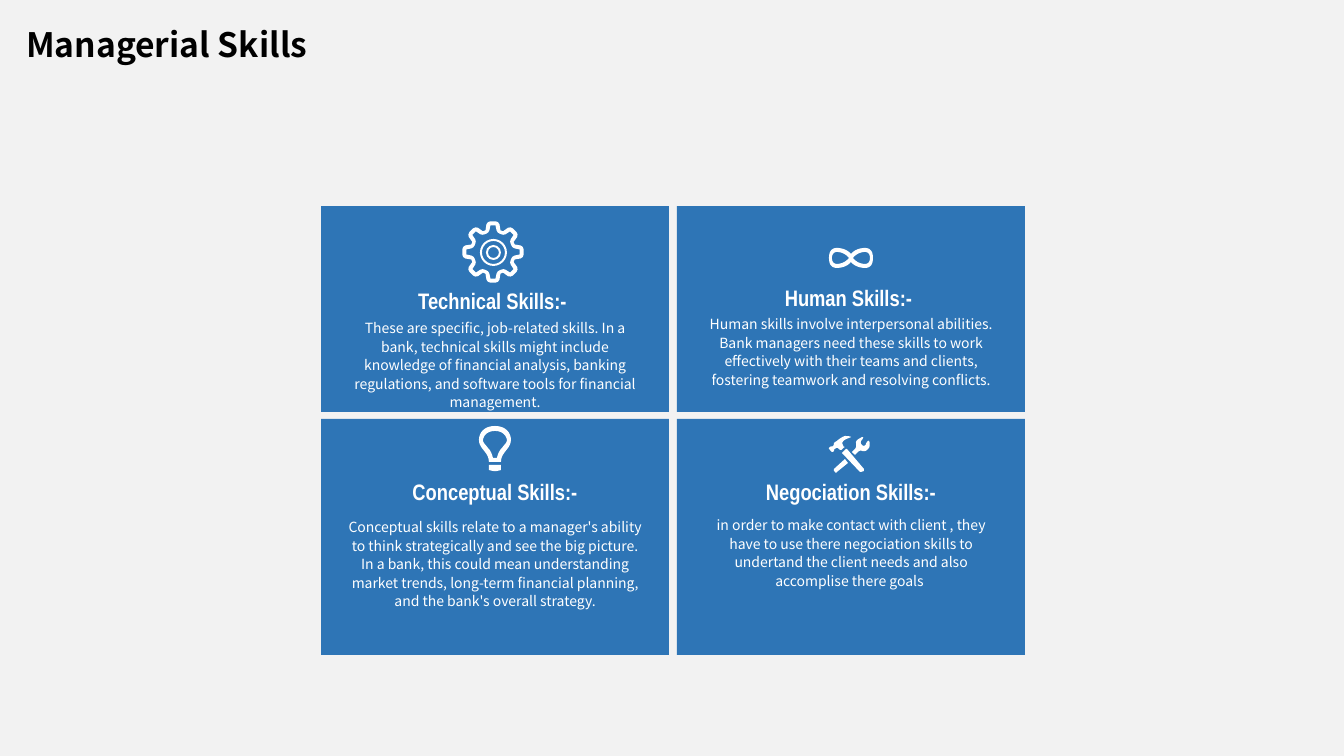
import math
from dataclasses import dataclass

import pptx
import pptx.dml.color
import pptx.enum.shapes
import pptx.enum.text
import pptx.util

PX = 914400 / 100.8
FINE = 20  # freeform units per px

SHAPE = pptx.enum.shapes.MSO_SHAPE
ALIGN = pptx.enum.text.PP_ALIGN
ANCHOR = pptx.enum.text.MSO_ANCHOR


@dataclass(frozen=True)
class Theme:
    page: str = "F2F2F2"
    card: str = "2E75B6"
    light: str = "FFFFFF"
    dark: str = "000000"
    text_font: str = "Noto Sans CJK SC"
    heading_font: str = "Arial Narrow"
    title_size: int = 24
    heading_size: int = 16
    body_size: int = 10


def px(value):
    return pptx.util.Emu(round(value * PX))


def rgb(code):
    return pptx.dml.color.RGBColor.from_string(code)


def flatten(steps):
    """Turn points (x, y) and cubic curves (x1, y1, x2, y2, x, y) into points."""
    points = []
    for step in steps:
        if len(step) == 2:
            points.append(step)
            continue
        bend = [points[-1], step[:2], step[2:4], step[4:]]
        for part in range(1, 11):
            t = part / 10
            weights = ((1 - t) ** 3, 3 * t * (1 - t) ** 2, 3 * t * t * (1 - t), t ** 3)
            points.append(tuple(sum(w * p[axis] for w, p in zip(weights, bend))
                                for axis in (0, 1)))
    return points


def gear_ring(half_tooth):
    """Repeat a mirrored half tooth, pointing right, eight times around the centre."""
    tooth = half_tooth + [(x, -y) for x, y in reversed(half_tooth)]
    ring = []
    for number in range(8):
        cos, sin = math.cos(number * math.pi / 4), math.sin(number * math.pi / 4)
        ring += [(x * cos - y * sin, x * sin + y * cos) for x, y in tooth]
    return ring


GEAR = [gear_ring([(21.7, -7.5), (27.7, -6.5), (29.8, -5), (30.7, -2.5)]),
        gear_ring([(18.3, -6.7), (19.5, -4.8), (21.5, -3.6), (26.7, -2.5)])]

LOOP_HOLE = [(14, 6), (17, 6, 19, 4, 19, 0), (19, -4, 17, -6, 14, -6),
             (10, -6, 5, -4, 2, 0), (5, 4, 10, 6, 14, 6)]
INFINITY = [
    [(14, -10), (9, -10, 3, -8, 0, -4), (-3, -8, -9, -10, -14, -10),
     (-18, -10, -22, -8, -22, 0), (-22, 8, -18, 10, -14, 10),
     (-9, 10, -3, 8, 0, 4), (3, 8, 9, 10, 14, 10),
     (18, 10, 22, 8, 22, 0), (22, -8, 18, -10, 14, -10)],
    LOOP_HOLE,
    [tuple(-value for value in step) for step in LOOP_HOLE],
]

BULB = [
    [(-6, 44), (-2, 45.5, 2, 45.5, 6, 44), (6, 39), (-6, 39)],
    [(6, 36), (6, 26, 16, 23, 16, 14), (16, 7, 11, 0, 0, 0),
     (-11, 0, -16, 7, -16, 14), (-16, 23, -6, 26, -6, 36)],
    [(-12, 14), (-11, 8, -6, 5, 0, 5), (6, 5, 11, 8, 12, 14),
     (12, 17, 9, 19, 7, 22), (4, 25, 3, 28, 2, 32), (-2, 32),
     (-3, 28, -4, 25, -7, 22), (-9, 19, -12, 17, -12, 14)],
]

HAMMER_HEAD = [
    (6, 13), (8, 11, 9, 12, 11, 14), (12, 14), (13, 14, 15, 11, 16, 11),
    (15, 11, 14, 10, 14, 9), (10, 4, 24, 1, 22, 1), (21, 0, 16, 0, 16, 0),
    (13, 1, 10, 3, 8, 5), (6, 6, 5, 7, 5, 7), (5, 8, 5, 9, 4, 10),
    (3, 11, 2, 10, 1, 11), (0, 12), (0, 13), (3, 16), (4, 16), (5, 15),
    (5, 15, 5, 13, 6, 13)]
HAMMER_HANDLE = [(18, 13), (17, 13), (13, 17), (31, 36), (32, 36), (35, 35), (35, 33)]
WRENCH_HEAD = [
    (40, 5), (40, 4, 40, 5, 39, 5), (39, 5, 37, 7, 37, 8), (37, 9, 35, 11, 33, 9),
    (31, 7, 32, 6, 32, 5), (32, 5, 34, 3, 34, 2), (35, 2, 34, 1, 33, 1),
    (32, 2, 28, 3, 27, 6), (27, 8, 28, 11, 26, 13), (23, 16), (26, 19), (29, 16),
    (30, 15, 32, 14, 33, 15), (37, 16, 38, 14, 40, 12), (41, 10, 41, 6, 40, 5)]
WRENCH_HANDLE = [(5, 33), (5, 35), (7, 37), (8, 36), (19, 27), (16, 23)]
TOOLS = [HAMMER_HEAD, HAMMER_HANDLE, WRENCH_HEAD, WRENCH_HANDLE]


class Painter:
    def __init__(self, page, theme):
        self.page = page
        self.theme = theme

    def background(self):
        fill = self.page.background.fill
        fill.solid()
        fill.fore_color.rgb = rgb(self.theme.page)

    def paint(self, shape, color):
        shape.shadow.inherit = False
        shape.fill.solid()
        shape.fill.fore_color.rgb = rgb(color)
        shape.line.fill.background()

    def set_text(self, box, text, size, color, font, bold=False, align=ALIGN.CENTER, spacing=None):
        frame = box.text_frame
        frame.text = text
        frame.vertical_anchor = ANCHOR.TOP
        para = frame.paragraphs[0]
        para.alignment = align
        if spacing:
            para.line_spacing = spacing
        span = para.runs[0].font
        span.name, span.size, span.bold = font, pptx.util.Pt(size), bold
        span.color.rgb = rgb(color)

    def title(self, text, left, top, width, height):
        box = self.page.shapes.title
        box.left, box.top, box.width, box.height = map(px, (left, top, width, height))
        self.set_text(box, text, self.theme.title_size, self.theme.dark,
                      self.theme.text_font, bold=True, align=ALIGN.LEFT)
        box.text_frame.auto_size = pptx.enum.text.MSO_AUTO_SIZE.NONE

    def card(self, left, top, width, height):
        shape = self.page.shapes.add_shape(SHAPE.RECTANGLE, *map(px, (left, top, width, height)))
        self.paint(shape, self.theme.card)

    def heading(self, text, left, top, width, height):
        box = self.page.shapes.add_textbox(*map(px, (left, top, width, height)))
        box.text_frame.word_wrap = False
        self.set_text(box, text, self.theme.heading_size, self.theme.light,
                      self.theme.heading_font, bold=True)

    def body(self, text, left, top, width, height):
        box = self.page.shapes.add_textbox(*map(px, (left, top, width, height)))
        box.text_frame.word_wrap = True
        self.set_text(box, text, self.theme.body_size, self.theme.light,
                      self.theme.text_font, spacing=1.1)

    def icon(self, outlines, left, top):
        """Draw closed outlines as one shape, their zero point at left, top."""
        builder = None
        for outline in outlines:
            points = [((left + x) * FINE, (top + y) * FINE) for x, y in flatten(outline)]
            if builder is None:
                builder = self.page.shapes.build_freeform(*points[0], scale=PX / FINE)
            else:
                builder.move_to(*points[0])
            builder.add_line_segments(points[1:], close=True)
        self.paint(builder.convert_to_shape(), self.theme.light)

    def ring(self, left, top, size, thickness):
        shape = self.page.shapes.add_shape(SHAPE.DONUT, *map(px, (left, top, size, size)))
        shape.adjustments[0] = thickness / size
        self.paint(shape, self.theme.light)


# column, row, heading, heading top, heading width, body, body top, body height, icon, icon zero
SKILLS = [
    (0, 0, "Technical Skills:- ", 282, 200,
     "These are specific, job-related skills. In a bank, technical skills might include "
     "knowledge of financial analysis, banking regulations, and software tools for "
     "financial management.", 313, 103, GEAR, (493, 252)),
    (1, 0, "Human Skills:- ", 279, 176,
     "Human skills involve interpersonal abilities. Bank managers need these skills to work "
     "effectively with their teams and clients, fostering teamwork and resolving conflicts.",
     309, 85, INFINITY, (851, 258)),
    (0, 1, "Conceptual Skills:-", 473, 212,
     "Conceptual skills relate to a manager's ability to think strategically and see the big "
     "picture. In a bank, this could mean understanding market trends, long-term financial "
     "planning, and the bank's overall strategy.", 512, 122, BULB, (495, 426)),
    (1, 1, "Negociation Skills:-", 473, 218,
     "in order to make contact with client , they have to use there negociation skills to "
     "undertand the client needs and also accomplise there goals ", 510, 85, TOOLS, (829, 436)),
]
COLUMNS = (321, 677)
ROWS = ((206, 206), (419, 236))
CARD_WIDTH, BODY_WIDTH = 348, 316


def main():
    deck = pptx.Presentation()
    deck.slide_width, deck.slide_height = px(1344), px(756)
    painter = Painter(deck.slides.add_slide(deck.slide_layouts[5]), Theme())
    painter.background()
    painter.title("Managerial Skills", 16, 19, 398, 50)
    for column, row, name, name_top, name_width, text, text_top, text_height, icon, zero in SKILLS:
        left, center = COLUMNS[column], COLUMNS[column] + CARD_WIDTH // 2
        top, height = ROWS[row]
        painter.card(left, top, CARD_WIDTH, height)
        painter.heading(name, center - name_width // 2, name_top, name_width, 37)
        painter.body(text, center - BODY_WIDTH // 2, text_top, BODY_WIDTH, text_height)
        painter.icon(icon, *zero)
    for size in (27, 15):
        painter.ring(493 - size // 2, 252 - size // 2, size, 2)
    deck.save("out.pptx")


if __name__ == "__main__":
    main()
